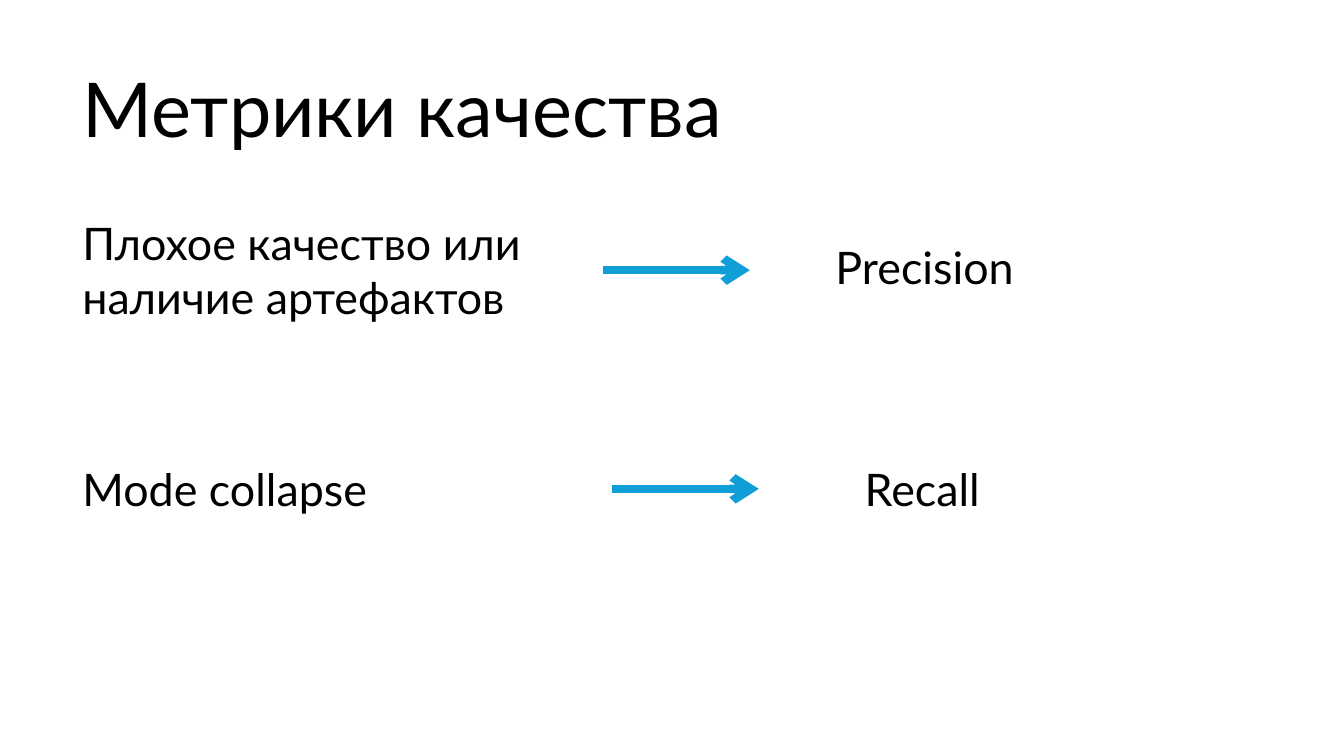
from dataclasses import dataclass

from lxml.etree import SubElement
from pptx import Presentation
from pptx.dml.color import RGBColor
from pptx.enum.shapes import MSO_CONNECTOR as Connector
from pptx.enum.text import MSO_ANCHOR as Anchor, MSO_AUTO_SIZE as AutoSize, PP_ALIGN as Align
from pptx.oxml.ns import qn
from pptx.slide import Slide
from pptx.text.text import TextFrame
from pptx.util import Pt

COLORS = {"background": "FFFFFF", "text": "000000", "arrow": "0F9ED5"}
FONT = "Lato"
LEFT = 51.8
ARROW_LENGTH = 105
LABEL_HEIGHT = 46


@dataclass
class Label:
    text: str
    left: float
    top: float
    width: float
    height: float = LABEL_HEIGHT
    wrap: bool = False


@dataclass
class Arrow:
    left: float
    y: float


LABELS = [
    Label("Плохое качество или наличие артефактов", LEFT, 150.5, 360, 85, wrap=True),
    Label("Mode collapse", LEFT, 326.2, 226),
    Label("Precision", 589.7, 167.8, 144),
    Label("Recall", 610.6, 326.2, 102),
]
ARROWS = [Arrow(430.6, 193), Arrow(437, 349.2)]


def write_text(frame: TextFrame, text: str, *, size: float, wrap: bool = True,
               anchor: Anchor = Anchor.TOP, line_spacing: float = 1.0) -> None:
    frame.word_wrap = wrap
    frame.vertical_anchor = anchor
    paragraph = frame.paragraphs[0]
    paragraph.text = text
    paragraph.alignment = Align.LEFT
    paragraph.line_spacing = line_spacing
    paragraph.space_before = Pt(0)
    font = paragraph.runs[0].font
    font.name = FONT
    font.size = Pt(size)
    font.color.rgb = RGBColor.from_string(COLORS["text"])


def add_title(slide: Slide, text: str) -> None:
    title = slide.shapes.title
    title.left, title.top, title.width, title.height = Pt(LEFT), Pt(49), Pt(828), Pt(64.8)
    title.text_frame.auto_size = AutoSize.NONE
    write_text(title.text_frame, text, size=54, anchor=Anchor.BOTTOM, line_spacing=0.9)


def add_label(slide: Slide, label: Label) -> None:
    box = slide.shapes.add_textbox(Pt(label.left), Pt(label.top), Pt(label.width), Pt(label.height))
    box.text_frame.auto_size = AutoSize.SHAPE_TO_FIT_TEXT
    write_text(box.text_frame, label.text, size=32, wrap=label.wrap)


def add_arrow(slide: Slide, arrow: Arrow) -> None:
    connector = slide.shapes.add_connector(
        Connector.STRAIGHT, Pt(arrow.left), Pt(arrow.y), Pt(arrow.left + ARROW_LENGTH), Pt(arrow.y))
    connector.line.width = Pt(6)
    connector.line.color.rgb = RGBColor.from_string(COLORS["arrow"])
    SubElement(connector.line._get_or_add_ln(), qn("a:tailEnd"), type="arrow")
    SubElement(connector._element.spPr, qn("a:effectLst"))


def main() -> None:
    presentation = Presentation()
    presentation.slide_width, presentation.slide_height = Pt(960), Pt(540)
    slide = presentation.slides.add_slide(presentation.slide_layouts[5])
    background = slide.background.fill
    background.solid()
    background.fore_color.rgb = RGBColor.from_string(COLORS["background"])

    # Heading
    add_title(slide, "Метрики качества")

    # Problems on the left, metrics on the right
    for label in LABELS:
        add_label(slide, label)

    # Arrows from each problem to its metric
    for arrow in ARROWS:
        add_arrow(slide, arrow)

    presentation.save("out.pptx")


if __name__ == "__main__":
    main()
